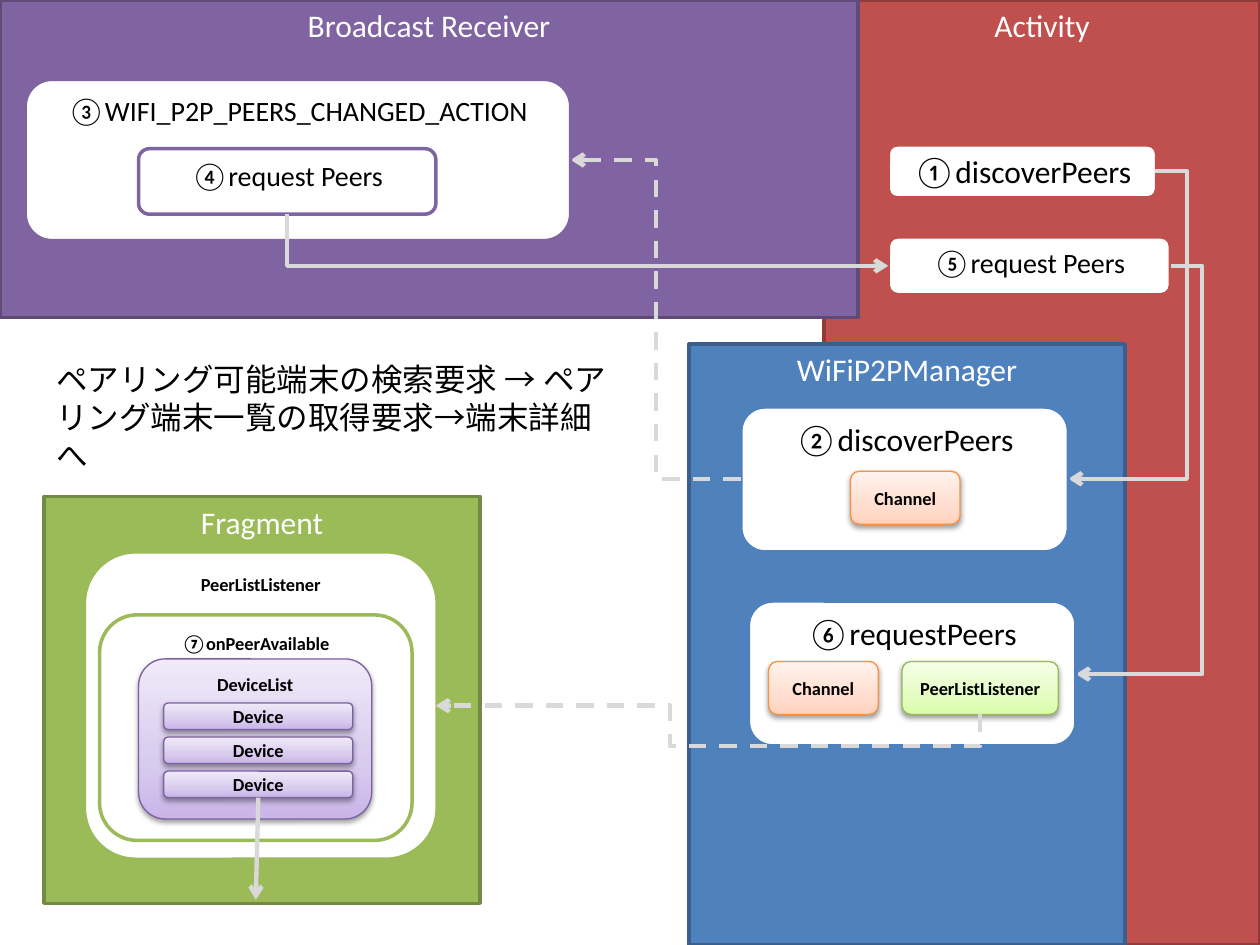
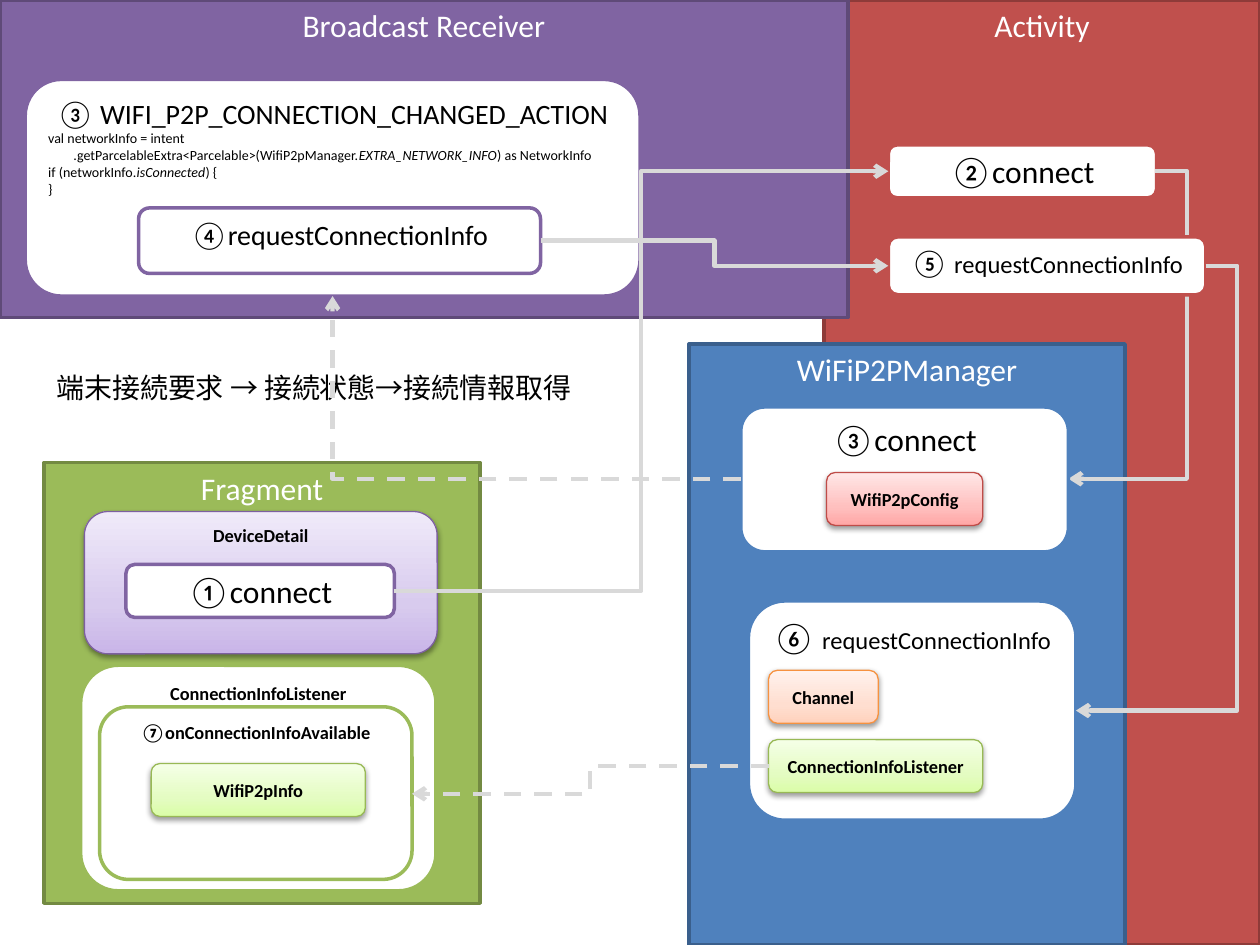
"""Draw the peer search and peer connection flows as two slides."""
from dataclasses import dataclass

from lxml import etree
from pptx import Presentation
from pptx import slide as sl
from pptx import util as u
from pptx.dml.color import RGBColor
from pptx.enum import dml, shapes, text
from pptx.oxml import ns, parse_xml
from pptx.shapes.autoshape import Shape
from pptx.shapes.connector import Connector
from pptx.text.text import _Paragraph as Para

PX = 9144
FONT = "Calibri"
HOOK = 25
INK = {
    "red": "C0504D", "purple": "8064A2", "green": "9BBB59", "blue": "4F81BD",
    "white": "FFFFFF", "black": "000000", "wire": "D9D9D9",
}
EDGE = {"red": "8E3B39", "purple": "5F4A78", "green": "738A42", "blue": "3A5F8C"}
GLOSS = {
    "peach": ("F69240", "FFD2BD", "FFDED0", "FFF2ED"),
    "lime": ("98B955", "DAFDA7", "E4FCC2", "F5FFE7"),
    "lilac": ("7D60A0", "C9B5E8", "D8CBEE", "F0EAF9"),
    "rose": ("BF4C48", "FFA6A5", "FFC0BF", "FFE7E7"),
}
STOPS = (0, 35000, 100000)


@dataclass(frozen=True)
class Panel:
    at: tuple[int, int, int, int]
    label: str
    hue: str


@dataclass(frozen=True)
class Card:
    at: tuple[int, int, int, int]
    label: str
    hue: str
    size: float = 18
    bold: bool = False
    mid: bool = False
    tail: str = ""
    code: tuple[tuple[int, str], ...] = ()


@dataclass(frozen=True)
class Chip:
    at: tuple[int, int, int, int]
    label: str
    hue: str
    mid: bool = True


@dataclass(frozen=True)
class Wire:
    start: tuple[int, int]
    end: tuple[int, int]
    dash: bool = False
    hook: bool = False
    bends: int = 3
    rot: int = 0
    drop: float = 0


Item = Panel | Card | Chip | Wire


def rgb(code: str) -> RGBColor:
    return RGBColor.from_string(code)


def style(para: Para, size: float, ink: str, bold: bool = False,
          align: text.PP_ALIGN = text.PP_ALIGN.CENTER) -> None:
    para.alignment = align
    font = para.font
    font.name, font.size, font.bold = FONT, u.Pt(size), bold
    font.color.rgb = rgb(INK[ink])


def block(page: sl.Slide, at: tuple, kind: shapes.MSO_SHAPE, edge: str,
          width: float, mid: bool) -> Shape:
    box = page.shapes.add_shape(kind, *(v * PX for v in at))
    box.shadow.inherit = False
    box.line.color.rgb = rgb(edge)
    box.line.width = u.Pt(width)
    anchor = text.MSO_ANCHOR
    box.text_frame.vertical_anchor = anchor.MIDDLE if mid else anchor.TOP
    return box


def solid(box: Shape, code: str) -> None:
    box.fill.solid()
    box.fill.fore_color.rgb = rgb(code)


def panel(page: sl.Slide, item: Panel) -> None:
    box = block(page, item.at, shapes.MSO_SHAPE.RECTANGLE, EDGE[item.hue], 2, False)
    solid(box, INK[item.hue])
    para = box.text_frame.paragraphs[0]
    para.text = item.label
    style(para, 18, "white")


def card(page: sl.Slide, item: Card) -> None:
    box = block(page, item.at, shapes.MSO_SHAPE.ROUNDED_RECTANGLE,
                INK[item.hue], 2, item.mid)
    solid(box, INK["white"])
    para = box.text_frame.paragraphs[0]
    para.text = item.label
    style(para, item.size, "black", item.bold)
    if item.tail:
        run = para.add_run()
        run.text = item.tail
        run.font.size = u.Pt(14)
    for indent, line in item.code:
        row = box.text_frame.add_paragraph()
        style(row, 8, "black", align=text.PP_ALIGN.LEFT)
        row._p.get_or_add_pPr().set("marL", str(indent * PX))
        for i, part in enumerate(line.split("*")):
            run = row.add_run()
            run.text = part
            if i % 2:
                run.font.italic = True


def chip(page: sl.Slide, item: Chip) -> Shape:
    edge, *tones = GLOSS[item.hue]
    box = block(page, item.at, shapes.MSO_SHAPE.ROUNDED_RECTANGLE,
                edge, 0.75, item.mid)
    box.fill.background()
    props = box._element.spPr
    stops = "".join(f'<a:gs pos="{pos}"><a:srgbClr val="{tone}"/></a:gs>'
                    for pos, tone in zip(STOPS, tones))
    props.replace(props.find(ns.qn("a:noFill")), parse_xml(
        f'<a:gradFill {ns.nsdecls("a")} rotWithShape="1"><a:gsLst>{stops}</a:gsLst>'
        '<a:lin ang="16200000" scaled="1"/></a:gradFill>'))
    props.find(ns.qn("a:effectLst")).append(parse_xml(
        f'<a:outerShdw {ns.nsdecls("a")} blurRad="40000" dist="20000" dir="5400000" '
        'rotWithShape="0"><a:srgbClr val="000000"><a:alpha val="38000"/></a:srgbClr>'
        '</a:outerShdw>'))
    para = box.text_frame.paragraphs[0]
    para.text = item.label
    style(para, 10.5, "black", True)
    return box


def finish(line: Connector, dash: bool = False) -> None:
    line.line.color.rgb = rgb(INK["wire"])
    line.line.width = u.Pt(2.5)
    if dash:
        line.line.dash_style = dml.MSO_LINE.DASH
    tip = etree.SubElement(line.line._get_or_add_ln(), ns.qn("a:tailEnd"))
    tip.set("type", "arrow")
    etree.SubElement(line._element.spPr, ns.qn("a:effectLst"))


def wire(page: sl.Slide, item: Wire) -> None:
    ends = [item.start, item.end]
    if item.rot:
        cx, cy = ((a + b) / 2 for a, b in zip(*ends))
        way = 1 if item.rot == 270 else -1
        ends = [(cx - way * (y - cy), cy + way * (x - cx)) for x, y in ends]
    line = page.shapes.add_connector(
        shapes.MSO_CONNECTOR.ELBOW, *(round(v * PX) for end in ends for v in end))
    line.rotation = item.rot
    geom = line._element.spPr.find(ns.qn("a:prstGeom"))
    geom.set("prst", f"bentConnector{item.bends}")
    if item.bends > 2:
        span = abs(ends[0][0] - ends[1][0])
        ratios = [-HOOK / span if item.hook else 0.5, item.drop]
        for i, ratio in enumerate(ratios[:item.bends - 2], 1):
            guide = etree.SubElement(geom[0], ns.qn("a:gd"))
            guide.set("name", f"adj{i}")
            guide.set("fmla", f"val {round(ratio * 100000)}")
    finish(line, item.dash)


def note(page: sl.Slide, at: tuple, words: str, size: int) -> None:
    frame = page.shapes.add_textbox(*(v * PX for v in at)).text_frame
    frame.word_wrap = True
    frame.auto_size = text.MSO_AUTO_SIZE.SHAPE_TO_FIT_TEXT
    frame.paragraphs[0].text = words
    style(frame.paragraphs[0], size, "black", align=text.PP_ALIGN.LEFT)


def base(wide: int, top: int, ask: str, call: str) -> list[Item]:
    return [
        Panel((654, 0, 346, 750), "Activity", "red"),
        Panel((0, 0, wide, 252), "Broadcast Receiver", "purple"),
        Panel((35, top, 346, 717 - top), "Fragment", "green"),
        Card((705, 115, 213, 42), ask, "red", mid=True),
        Panel((547, 273, 346, 477), "WiFiP2PManager", "blue"),
        Wire((917, 136), (848, 380), hook=True),
        Card((588, 323, 260, 115), call, "blue"),
    ]


def draw(page: sl.Slide, items: list[Item]) -> None:
    tools = {Panel: panel, Card: card, Chip: chip, Wire: wire}
    for item in items:
        tools[type(item)](page, item)


def search(page: sl.Slide) -> None:
    draw(page, base(681, 394, "①discoverPeers", "②discoverPeers") + [
        Chip((675, 374, 87, 42), "Channel", "peach"),
        Card((67, 438, 280, 244), "PeerListListener", "green", 10.5, True),
        Wire((588, 380), (453, 127), dash=True),
        Card((20, 63, 433, 128), "③WIFI_P2P_PEERS_CHANGED_ACTION", "purple", 16),
        Card((110, 118, 236, 52), "④request Peers", "purple", 16),
        Card((705, 188, 224, 46), "⑤request Peers", "red", 16),
        Wire((228, 170), (705, 211), bends=2, rot=270),
        Wire((929, 211), (854, 535), hook=True),
        Card((594, 477, 260, 115), "⑥requestPeers", "blue"),
        Chip((716, 525, 124, 42), "PeerListListener", "lime"),
        Chip((610, 525, 87, 42), "Channel", "peach"),
        Wire((778, 567), (346, 560), dash=True, hook=True, bends=4, rot=90, drop=0.57),
        Card((79, 488, 248, 179), "⑦onPeerAvailable", "green", 10.5, True),
        Chip((110, 523, 185, 127), "DeviceList", "lilac", mid=False),
    ])
    note(page, (35, 281, 457, 71),
         "ペアリング可能端末の検索要求 → ペアリング端末一覧の取得要求→端末詳細へ", 18)
    rows = [chip(page, Chip((130, 558 + 27 * i, 150, 21), "Device", "lilac"))
            for i in range(3)]
    line = page.shapes.add_connector(
        shapes.MSO_CONNECTOR.STRAIGHT, 205 * PX, 633 * PX, 203 * PX, 714 * PX)
    line.begin_connect(rows[-1], 2)
    finish(line)


def join(page: sl.Slide) -> None:
    code = (
        (0, "val networkInfo = intent"),
        (20, ".getParcelableExtra<Parcelable>(WifiP2pManager."
             "*EXTRA_NETWORK_INFO*) as NetworkInfo"),
        (0, "if (networkInfo.*isConnected*) {"),
        (0, "}"),
    )
    info = "requestConnectionInfo"
    draw(page, base(673, 367, "②connect", "③connect") + [
        Chip((656, 375, 124, 42), "WifiP2pConfig", "rose"),
        Card((20, 63, 488, 172), "③ WIFI_P2P_CONNECTION_CHANGED_ACTION",
             "purple", 16, code=code),
        Card((110, 165, 319, 52), f"④{info}", "purple", 16),
        Card((705, 188, 252, 46), "⑤ ", "red", 16, tail=info),
        Wire((429, 191), (705, 211)),
        Card((594, 477, 260, 174), "⑥ ", "blue", tail=info),
        Chip((610, 587, 170, 42), "ConnectionInfoListener", "lime"),
        Chip((610, 532, 87, 42), "Channel", "peach"),
        Chip((67, 406, 280, 113), "DeviceDetail", "lilac", mid=False),
        Card((100, 448, 213, 42), "①connect", "purple", mid=True),
        Wire((313, 469), (705, 136)),
    ])
    note(page, (35, 289, 457, 37), "端末接続要求 → 接続状態→接続情報取得", 16)
    draw(page, [
        Wire((588, 380), (264, 235), dash=True, bends=2),
        Wire((957, 211), (854, 564), hook=True),
        Card((64, 528, 282, 179), "ConnectionInfoListener", "green", 10.5, True),
        Card((79, 561, 248, 137), "⑦onConnectionInfoAvailable", "green", 10.5, True),
        Wire((610, 608), (327, 630), dash=True),
        Chip((120, 606, 170, 42), "WifiP2pInfo", "lime"),
    ])


def main() -> None:
    deck = Presentation()
    deck.slide_width, deck.slide_height = 1000 * PX, 750 * PX
    for fill in (search, join):
        fill(deck.slides.add_slide(deck.slide_layouts[6]))
    deck.save("out.pptx")


if __name__ == "__main__":
    main()
